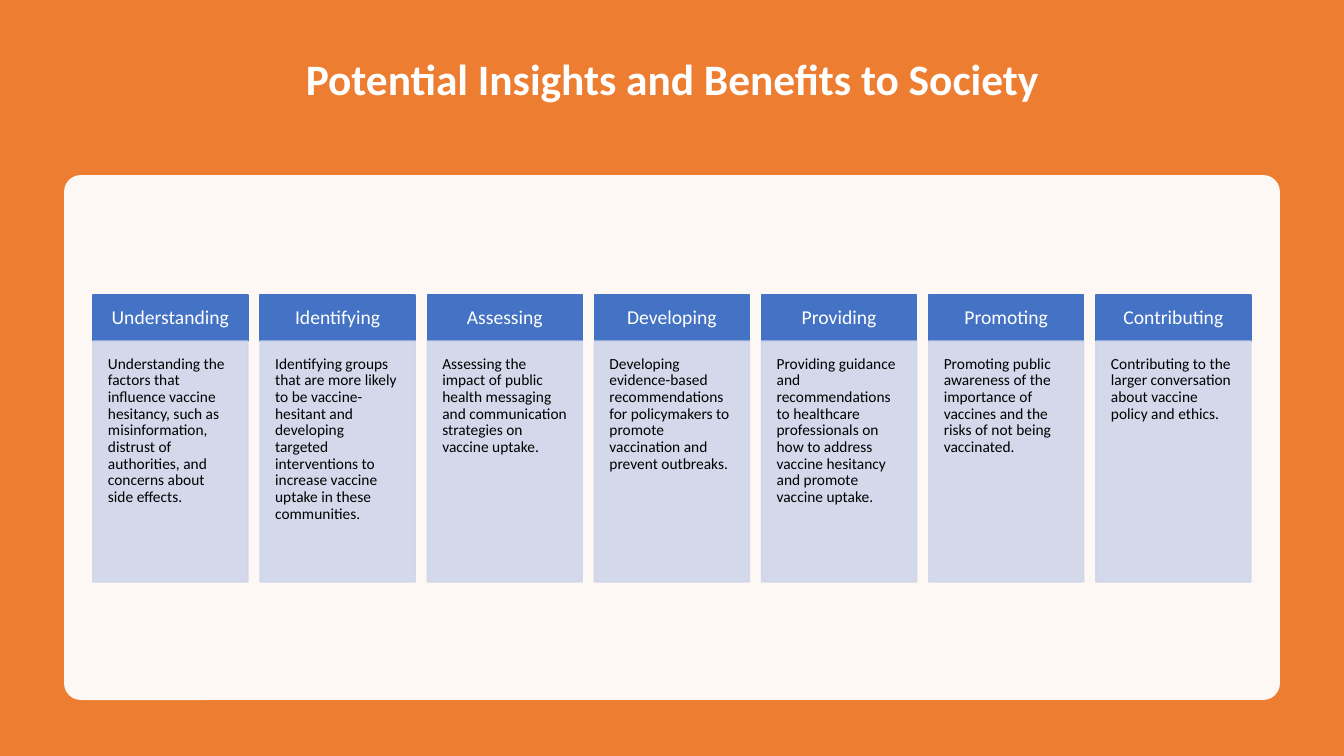
import dataclasses
import lxml.etree
import pptx
import pptx.dml.color
import pptx.enum.shapes
import pptx.enum.text
import pptx.oxml.ns
import pptx.util

Shape = pptx.enum.shapes.MSO_SHAPE
Align = pptx.enum.text.PP_ALIGN
Anchor = pptx.enum.text.MSO_ANCHOR


@dataclasses.dataclass(frozen=True)
class Theme:
    """Colours, type sizes and font of the slide."""
    orange: str = "ED7D31"
    white: str = "FFFFFF"
    blue: str = "4472C4"
    pale: str = "CFD5EA"
    black: str = "000000"
    font: str = "Calibri"
    title: int = 31
    heading: int = 14
    body: int = 11


THEME = Theme()
BENEFITS = {
    "Understanding": "Understanding the factors that influence vaccine hesitancy, such as "
                     "misinformation, distrust of authorities, and concerns about side effects.",
    "Identifying": "Identifying groups that are more likely to be vaccine-hesitant and developing "
                   "targeted interventions to increase vaccine uptake in these communities.",
    "Assessing": "Assessing the impact of public health messaging and communication strategies "
                 "on vaccine uptake.",
    "Developing": "Developing evidence-based recommendations for policymakers to promote "
                  "vaccination and prevent outbreaks.",
    "Providing": "Providing guidance and recommendations to healthcare professionals on how to "
                 "address vaccine hesitancy and promote vaccine uptake.",
    "Promoting": "Promoting public awareness of the importance of vaccines and the risks of not "
                 "being vaccinated.",
    "Contributing": "Contributing to the larger conversation about vaccine policy and ethics.",
}


def px(length):
    """Turn pixels into EMU."""
    return round(length * 12192000 / 1344)


def apply(target, values):
    """Set each named attribute of the target."""
    for name, value in values.items():
        setattr(target, name, value)


def paint(fill, color, opacity=100):
    """Give a fill a solid colour, with opacity in percent."""
    fill.solid()
    fill.fore_color.rgb = pptx.dml.color.RGBColor.from_string(color)
    if opacity < 100:
        tone = fill._xPr.find(".//" + pptx.oxml.ns.qn("a:srgbClr"))
        alpha = lxml.etree.SubElement(tone, pptx.oxml.ns.qn("a:alpha"))
        alpha.set("val", str(opacity * 1000))


def add_panel(page, box, color, opacity=100, outlined=False, preset=Shape.RECTANGLE):
    """Draw a flat shape in the box, outlined in its own colour on request."""
    panel = page.shapes.add_shape(preset, *map(px, box))
    panel.shadow.inherit = False
    paint(panel.fill, color, opacity)
    if outlined:
        panel.line.width = pptx.util.Pt(1)
        paint(panel.line.fill, color, opacity)
    else:
        panel.line.fill.background()
    return panel


def write(shape, text, size, color, margins, align, anchor, bold=False):
    """Fill a shape with one formatted paragraph; margins run left, top, right, bottom."""
    frame = shape.text_frame
    sides = ("margin_left", "margin_top", "margin_right", "margin_bottom")
    apply(frame, dict(zip(sides, map(px, margins))))
    apply(frame, {"word_wrap": True, "vertical_anchor": anchor,
                  "auto_size": pptx.enum.text.MSO_AUTO_SIZE.NONE})
    para = frame.paragraphs[0]
    apply(para, {"alignment": align, "line_spacing": 0.9})
    span = para.add_run()
    span.text = text
    apply(span.font, {"name": THEME.font, "size": pptx.util.Pt(size), "bold": bold})
    span.font.color.rgb = pptx.dml.color.RGBColor.from_string(color)


def add_title(page, box, text):
    """Move the title placeholder into the box, in front, with its text set high."""
    title = page.shapes.title
    apply(title, dict(zip(("left", "top", "width", "height"), map(px, box))))
    write(title, text, THEME.title, THEME.white, (10, 5, 10, 53),
          Align.CENTER, Anchor.MIDDLE, bold=True)
    page.shapes._spTree.append(title._element)


def add_column(page, box, heading, detail):
    """Stack a heading bar and its detail panel in the box."""
    left, top, width, height = box
    bar = 46
    header = add_panel(page, (left, top, width, bar), THEME.blue, outlined=True)
    write(header, heading, THEME.heading, THEME.white, (12,) * 4, Align.CENTER, Anchor.MIDDLE)
    body = add_panel(page, (left, top + bar, width, height - bar), THEME.pale, 90, outlined=True)
    write(body, detail, THEME.body, THEME.black, (15,) * 4, Align.LEFT, Anchor.TOP)


def add_columns(page, box, benefits):
    """Spread one column per benefit evenly across the box."""
    left, top, width, height = box
    column = 155
    step = (width - column) / (len(benefits) - 1)
    for index, (heading, detail) in enumerate(benefits.items()):
        add_column(page, (left + index * step, top, column, height), heading, detail)


def add_benefits_slide(deck, box):
    """Build the slide with its backdrop, title, card and columns."""
    left, top, width, height = box
    page = deck.slides.add_slide(deck.slide_layouts[5])
    add_panel(page, box, THEME.orange)
    add_title(page, (left + 92, top + 50, width - 184, 111),
              "Potential Insights and Benefits to Society")
    card = add_panel(page, (left + 64, top + 175, width - 128, 525), THEME.white, 95,
                     preset=Shape.ROUNDED_RECTANGLE)
    card.adjustments[0] = 0.032
    add_columns(page, (left + 93, top + 295, width - 186, 287), BENEFITS)


deck = pptx.Presentation()
apply(deck, {"slide_width": px(1344), "slide_height": px(756)})
add_benefits_slide(deck, (0, 0, 1344, 756))
deck.save("out.pptx")
